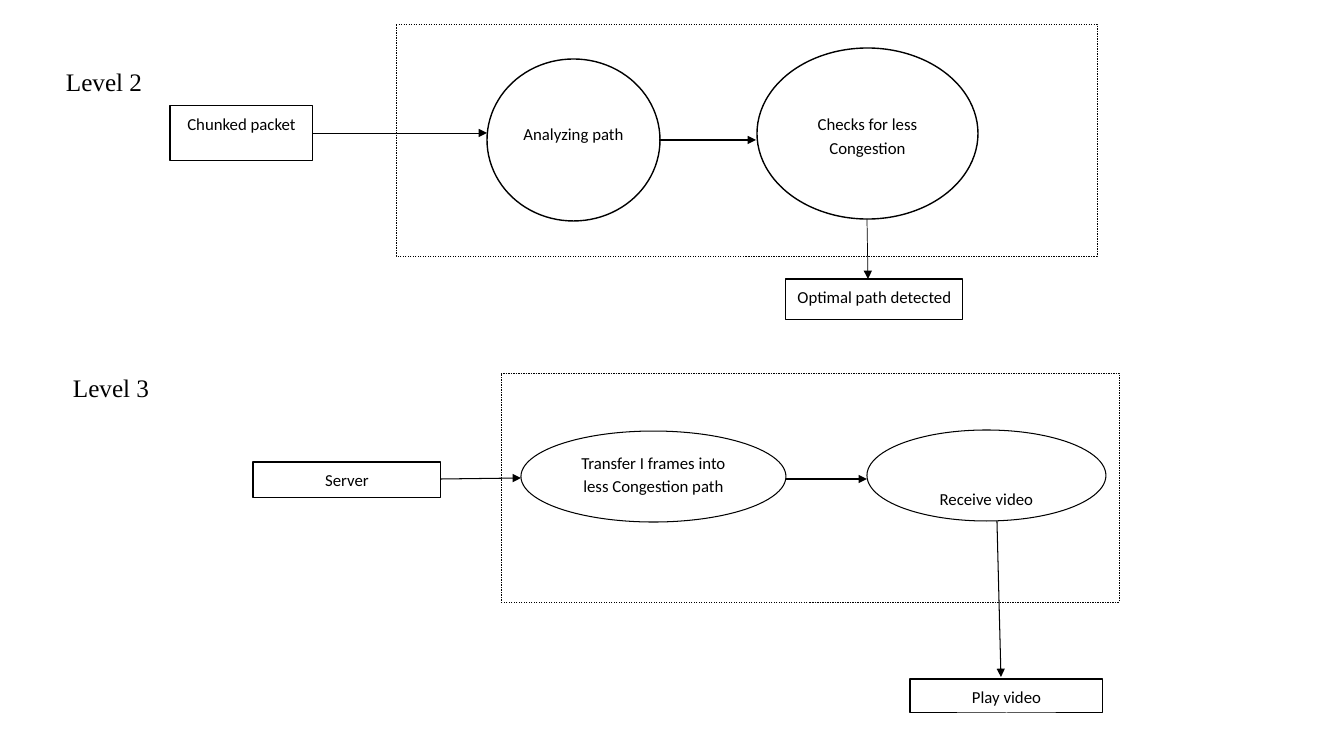
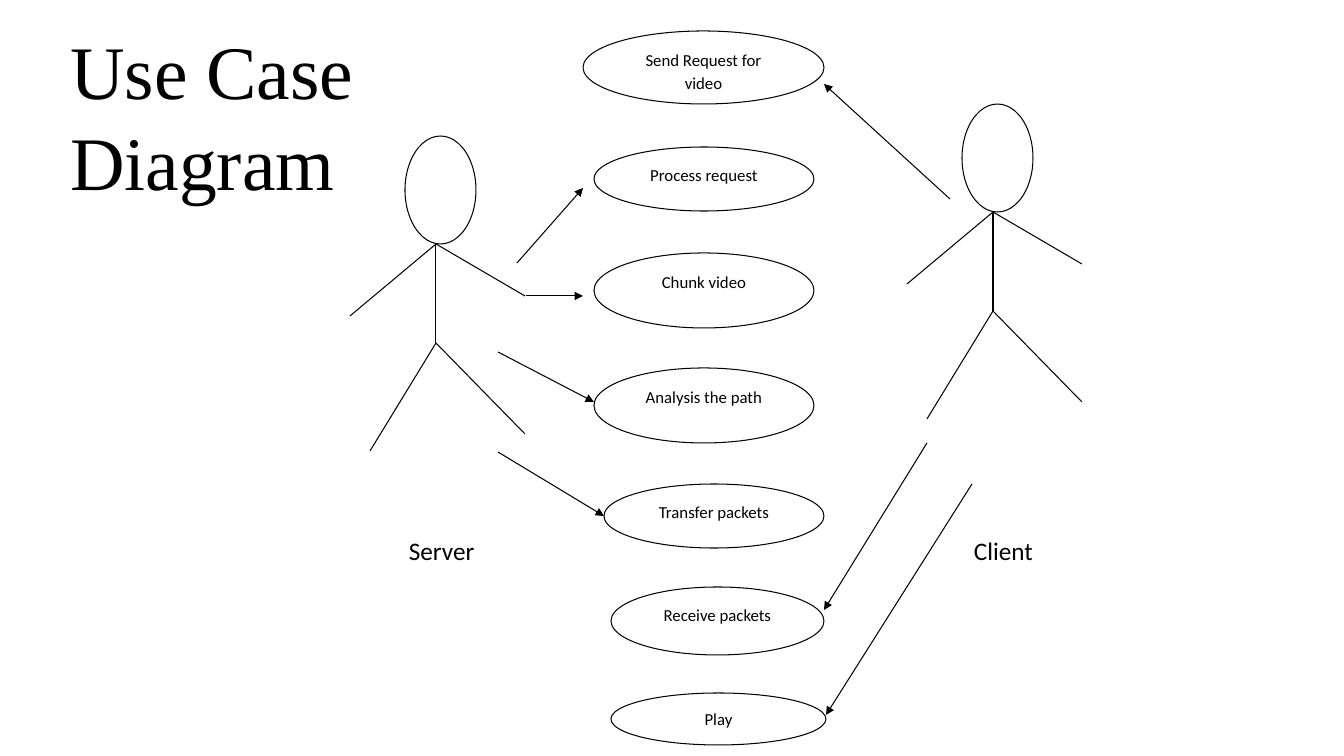
from dataclasses import dataclass
from typing import Any, NamedTuple

from lxml import etree
from pptx import Presentation
from pptx import util as u
from pptx.dml.color import RGBColor
from pptx.enum import dml, shapes, text
from pptx.oxml import ns

EMU_PER_PIXEL = 914400 / 100.8


@dataclass(frozen=True)
class Theme:
    """Colours, fonts, type sizes and line widths of the deck."""
    ink: RGBColor = RGBColor(0, 0, 0)
    paper: RGBColor = RGBColor(255, 255, 255)
    body_font: str = "Calibri"
    title_font: str = "Times New Roman"
    node_size: float = 12
    label_size: float = 18
    title_size: float = 54
    hairline: float = 0.25
    thin: float = 0.5
    normal: float = 0.75
    bold: float = 1


THEME = Theme()
RECT = shapes.MSO_SHAPE.RECTANGLE
OVAL = shapes.MSO_SHAPE.OVAL


class Box(NamedTuple):
    """Left, top, width and height in pixels."""
    left: int
    top: int
    width: int
    height: int


class Point(NamedTuple):
    """A place in pixels."""
    x: int
    y: int

    def shifted(self, dx: int, dy: int) -> "Point":
        """Return the point moved by an offset."""
        return Point(self.x + dx, self.y + dy)


class Node(NamedTuple):
    """A box or ellipse of a diagram; drop lowers its words."""
    kind: Any
    box: Box
    words: str = ""
    drop: int = 0
    width: float = THEME.normal


class Line(NamedTuple):
    """A straight line, with an arrowhead at its end if asked."""
    start: Point
    end: Point
    width: float = THEME.normal
    arrow: bool = True


class Label(NamedTuple):
    """A free line of text."""
    box: Box
    words: str
    font: str


def px(length: float) -> u.Emu:
    """Turn pixels into EMU."""
    return u.Emu(round(length * EMU_PER_PIXEL))


def emu(lengths: tuple) -> list:
    """Turn several pixel lengths into EMU."""
    return [px(length) for length in lengths]


def apply(target: Any, values: dict) -> None:
    """Set attributes from a dict of format values."""
    for name, value in values.items():
        setattr(target, name, value)


def write(frame: Any, words: str, font: str, size: float, para_format: dict) -> None:
    """Fill a text frame, one paragraph for each line of words."""
    frame.text = words
    for para in frame.paragraphs:
        apply(para, para_format)
        for span in para.runs:
            apply(span.font, {"name": font, "size": u.Pt(size)})
            span.font.color.rgb = THEME.ink


def ink_line(line: Any, width: float) -> None:
    """Give an outline or connector its ink and width."""
    line.color.rgb = THEME.ink
    line.width = u.Pt(width)


def draw_node(page: Any, node: Node) -> None:
    """Draw a white shape with centred words."""
    shape = page.shapes.add_shape(node.kind, *emu(node.box))
    shape.shadow.inherit = False
    shape.fill.solid()
    shape.fill.fore_color.rgb = THEME.paper
    ink_line(shape.line, node.width)
    if node.words:
        frame = shape.text_frame
        apply(frame, {"word_wrap": True, "vertical_anchor": text.MSO_ANCHOR.TOP,
                      "margin_top": px(5 + node.drop), "margin_bottom": 0})
        write(frame, node.words, THEME.body_font, THEME.node_size,
              {"alignment": text.PP_ALIGN.CENTER, "line_spacing": 1.15,
               "space_after": u.Pt(10)})


def draw_frame(page: Any, box: Box) -> None:
    """Draw the dashed system boundary."""
    shape = page.shapes.add_shape(RECT, *emu(box))
    shape.shadow.inherit = False
    shape.fill.background()
    ink_line(shape.line, THEME.hairline)
    shape.line.dash_style = dml.MSO_LINE.DASH


def draw_line(page: Any, line: Line) -> None:
    """Draw a connector without shadow."""
    connector = page.shapes.add_connector(
        shapes.MSO_CONNECTOR.STRAIGHT, *emu(line.start + line.end))
    ink_line(connector.line, line.width)
    if line.arrow:
        etree.SubElement(connector.get_or_add_ln(), ns.qn("a:tailEnd"), type="triangle")
    etree.SubElement(connector.element.spPr, ns.qn("a:effectLst"))


def draw_label(page: Any, label: Label) -> None:
    """Draw a free text label."""
    box = page.shapes.add_textbox(*emu(label.box))
    apply(box.text_frame, {"word_wrap": False,
                           "auto_size": text.MSO_AUTO_SIZE.SHAPE_TO_FIT_TEXT})
    write(box.text_frame, label.words, label.font, THEME.label_size, {})


def draw_title(page: Any, box: Box, words: str) -> None:
    """Move and format the title placeholder."""
    title = page.shapes.title
    apply(title, dict(zip(("left", "top", "width", "height"), emu(box))))
    apply(title.text_frame, {"word_wrap": True, "auto_size": text.MSO_AUTO_SIZE.NONE,
                             "vertical_anchor": text.MSO_ANCHOR.TOP})
    write(title.text_frame, words, THEME.title_font, THEME.title_size,
          {"alignment": text.PP_ALIGN.LEFT})


def draw_actor(page: Any, neck: Point) -> None:
    """Draw a stick figure hung from its neck."""
    draw_node(page, Node(OVAL, Box(neck.x - 31, neck.y - 108, 71, 108)))
    hip = neck.shifted(0, 99)
    limbs = [(neck, hip),
             (neck, neck.shifted(-86, 72)), (neck, neck.shifted(89, 52)),
             (hip, hip.shifted(-66, 108)), (hip, hip.shifted(89, 91))]
    for start, end in limbs:
        draw_line(page, Line(start, end, arrow=False))


def draw_parts(page: Any, nodes: list, lines: list, labels: list) -> None:
    """Draw the nodes, lines and labels of a diagram."""
    for node in nodes:
        draw_node(page, node)
    for line in lines:
        draw_line(page, line)
    for label in labels:
        draw_label(page, label)


def build_levels(page: Any) -> None:
    """Build the data flow diagrams of levels 2 and 3."""
    nodes = [
        Node(RECT, Box(170, 106, 143, 55), "Chunked packet"),
        Node(OVAL, Box(487, 59, 173, 162), "Analyzing path", 33, THEME.bold),
        Node(OVAL, Box(757, 48, 221, 171), "Checks for less Congestion", 33, THEME.bold),
        Node(RECT, Box(786, 279, 177, 41), "Optimal path detected"),
        Node(RECT, Box(253, 462, 188, 36), "Server"),
        Node(OVAL, Box(521, 431, 265, 91), "Transfer I frames into less Congestion path"),
        Node(OVAL, Box(867, 430, 239, 91), "Receive video", 37),
        Node(RECT, Box(910, 679, 193, 34), "Play video"),
    ]
    lines = [
        Line(Point(313, 133), Point(487, 133), THEME.thin),
        Line(Point(659, 140), Point(756, 140), THEME.bold),
        Line(Point(867, 219), Point(868, 279), THEME.thin),
        Line(Point(441, 479), Point(521, 478)),
        Line(Point(786, 479), Point(867, 479)),
        Line(Point(997, 521), Point(1001, 677)),
    ]
    labels = [
        Label(Box(56, 61, 98, 40), "Level 2", THEME.title_font),
        Label(Box(63, 367, 98, 40), "Level 3", THEME.title_font),
    ]
    draw_parts(page, nodes, lines, labels)
    draw_frame(page, Box(396, 24, 701, 232))
    draw_frame(page, Box(501, 373, 618, 229))


def build_use_cases(page: Any) -> None:
    """Build the use case diagram."""
    draw_title(page, Box(60, 19, 326, 194), "Use Case\nDiagram")
    nodes = [
        Node(OVAL, Box(583, 31, 241, 73), "Send Request for video"),
        Node(OVAL, Box(594, 147, 220, 64), "Process request"),
        Node(OVAL, Box(594, 253, 220, 75), "Chunk video"),
        Node(OVAL, Box(594, 368, 220, 75), "Analysis the path"),
        Node(OVAL, Box(604, 484, 220, 64), "Transfer packets"),
        Node(OVAL, Box(611, 587, 213, 68), "Receive packets"),
        Node(OVAL, Box(611, 693, 215, 52), "Play"),
    ]
    lines = [
        Line(Point(517, 263), Point(583, 188)),
        Line(Point(526, 296), Point(583, 296)),
        Line(Point(498, 352), Point(594, 402)),
        Line(Point(498, 452), Point(604, 516)),
        Line(Point(950, 199), Point(824, 84)),
        Line(Point(927, 443), Point(824, 610)),
        Line(Point(972, 484), Point(826, 715)),
    ]
    labels = [
        Label(Box(399, 530, 87, 40), "Server", THEME.body_font),
        Label(Box(964, 530, 80, 40), "Client", THEME.body_font),
    ]
    draw_parts(page, nodes, lines, labels)
    for neck in (Point(993, 212), Point(436, 244)):
        draw_actor(page, neck)


def main() -> None:
    """Build and save the deck."""
    deck = Presentation()
    apply(deck, {"slide_width": px(1344), "slide_height": px(756)})
    title_only, blank = deck.slide_layouts[5], deck.slide_layouts[6]
    build_levels(deck.slides.add_slide(blank))
    build_use_cases(deck.slides.add_slide(title_only))
    deck.save("out.pptx")


main()
